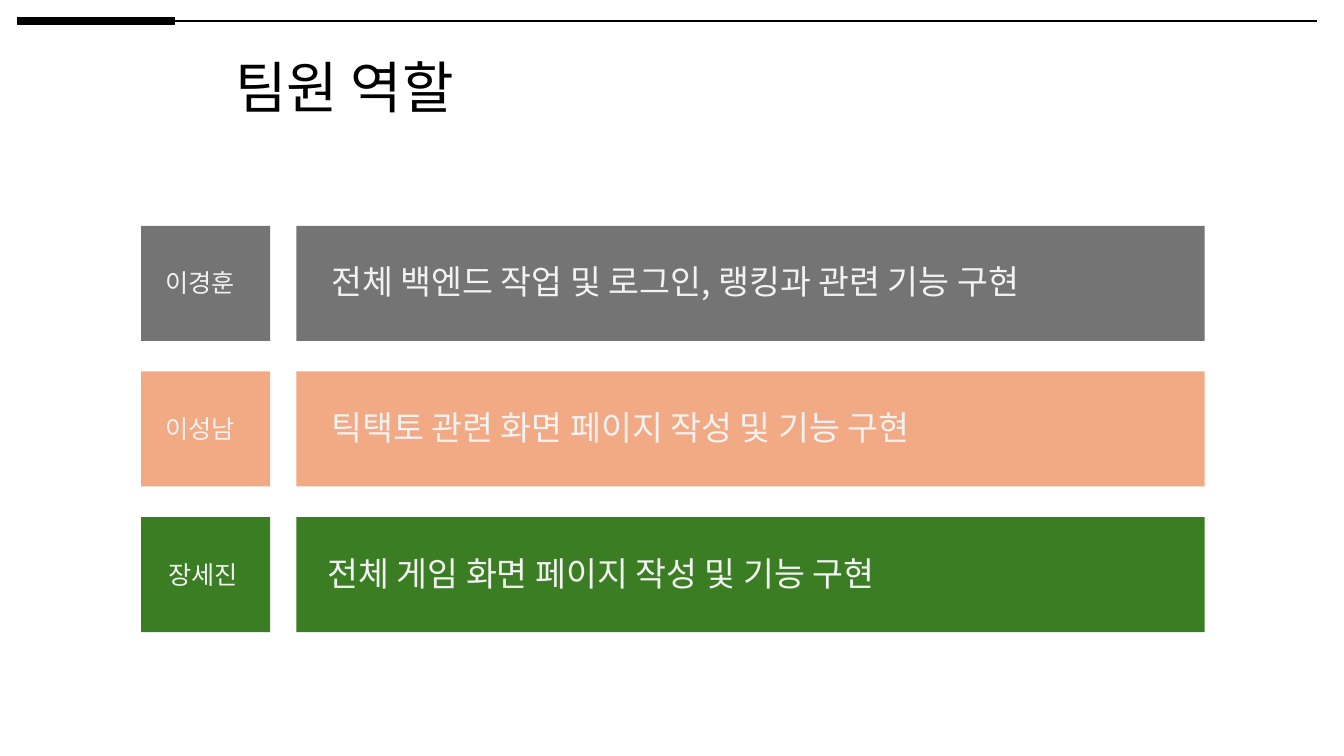
from lxml import etree
from pptx import Presentation
from pptx import util as u
from pptx.dml.color import RGBColor
from pptx.enum import shapes, text
from pptx.oxml.ns import qn

FONT = "Noto Sans CJK KR"
ROW_TOP, ROW_PITCH, ROW_HEIGHT = 5.69, 3.67, 2.9

# name, role, fill, name left, role left
MEMBERS = [
    ("이경훈", "전체 백엔드 작업 및 로그인, 랭킹과 관련 기능 구현", "747474", 3.91, 8.1),
    ("이성남", "틱택토 관련 화면 페이지 작성 및 기능 구현", "F2AA84", 3.91, 8.1),
    ("장세진", "전체 게임 화면 페이지 작성 및 기능 구현", "3B7D23", 3.99, 8),
]


def set_color(color, value):
    color.rgb = RGBColor.from_string(value)


def place(sp, left, top, width, height):
    sp.left, sp.top = u.Cm(left), u.Cm(top)
    sp.width, sp.height = u.Cm(width), u.Cm(height)


def write(sp, words, size, color, align=text.PP_ALIGN.LEFT):
    """Fill a shape with one paragraph, in the same font for Latin and Hangul."""
    tf = sp.text_frame
    tf.word_wrap = True
    tf.auto_size = text.MSO_AUTO_SIZE.SHAPE_TO_FIT_TEXT
    tf.vertical_anchor = text.MSO_ANCHOR.TOP
    p = tf.paragraphs[0]
    p.text = words
    p.alignment = align
    p.font.size = u.Pt(size)
    p.font.name = FONT
    set_color(p.font.color, color)
    props = p._p.pPr.find(qn("a:defRPr"))
    etree.SubElement(props, qn("a:ea")).set("typeface", FONT)


def add_rule(s, left, right, weight):
    top = u.Cm(0.53)
    line = s.shapes.add_connector(
        shapes.MSO_CONNECTOR.STRAIGHT, u.Cm(left), top, u.Cm(right), top)
    line.line.width = u.Pt(weight)
    set_color(line.line.color, "000000")
    etree.SubElement(line._element.spPr, qn("a:effectLst"))


def add_block(s, left, top, width, fill):
    sp = s.shapes.add_shape(
        shapes.MSO_SHAPE.RECTANGLE,
        u.Cm(left), u.Cm(top), u.Cm(width), u.Cm(ROW_HEIGHT))
    sp.shadow.inherit = False
    sp.fill.solid()
    set_color(sp.fill.fore_color, fill)
    sp.line.fill.background()


def add_label(s, words, left, top, width, height, size):
    sp = s.shapes.add_textbox(
        u.Cm(left), u.Cm(top), u.Cm(width), u.Cm(height))
    write(sp, words, size, "F2F2F2")


def add_member(s, top, name, role, fill, name_left, role_left):
    add_block(s, 3.56, top, 3.25, fill)
    add_block(s, 7.47, top, 22.89, fill)
    add_label(s, name, name_left, top + 0.93, 2.54, 1.02, 18)
    add_label(s, role, role_left, top + 0.77, 21.84, 1.28, 24)


def main():
    prs = Presentation()
    prs.slide_width, prs.slide_height = u.Cm(33.87), u.Cm(19.05)
    s = prs.slides.add_slide(prs.slide_layouts.get_by_name("Title Only"))

    add_rule(s, 0.43, 4.42, 6)
    add_rule(s, 3.73, 33.2, 1)

    title = s.shapes.title
    place(title, 4.83, 1.19, 7.7, 1.96)
    write(title, "팀원 역할", 40, "000000", text.PP_ALIGN.CENTER)

    for row, member in enumerate(MEMBERS):
        add_member(s, ROW_TOP + row * ROW_PITCH, *member)

    prs.save("out.pptx")


if __name__ == "__main__":
    main()
